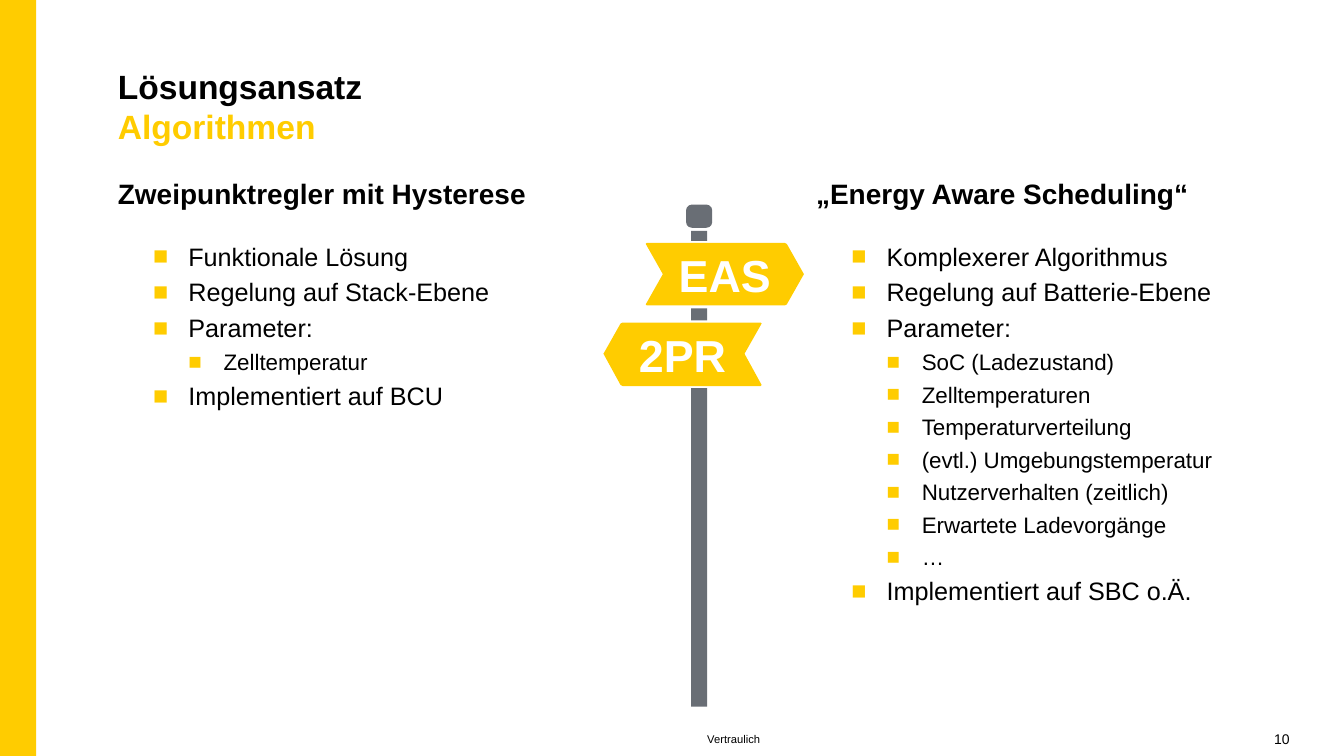
from dataclasses import dataclass

from lxml import etree
from pptx import Presentation
from pptx import util as u
from pptx.dml.color import RGBColor
from pptx.enum import shapes, text
from pptx.oxml import ns

PX = 9144
YELLOW, GREY, BLACK, WHITE = "FFCC00", "696E75", "000000", "FFFFFF"
LEVEL_INDENT = 35
LEVEL_SIZES = {1: 18, 2: 16}


@dataclass(frozen=True)
class Area:
    left: int
    top: int
    width: int
    height: int

    def emu(self) -> tuple:
        return tuple(u.Emu(n * PX) for n in (self.left, self.top, self.width, self.height))


@dataclass(frozen=True)
class Label:
    area: Area
    words: str
    size: int
    align: text.PP_ALIGN


@dataclass(frozen=True)
class Column:
    area: Area
    heading: str
    items: tuple


@dataclass(frozen=True)
class Sign:
    area: Area
    words: str
    points_right: bool


LABELS = (
    Label(Area(690, 721, 210, 24), "Vertraulich", 8, text.PP_ALIGN.LEFT),
    Label(Area(1186, 721, 106, 24), "10", 10, text.PP_ALIGN.RIGHT),
)
COLUMNS = (
    Column(Area(105, 169, 513, 532), "Zweipunktregler mit Hysterese", (
        (1, "Funktionale Lösung"),
        (1, "Regelung auf Stack-Ebene"),
        (1, "Parameter:"),
        (2, "Zelltemperatur"),
        (1, "Implementiert auf BCU"),
    )),
    Column(Area(798, 169, 494, 532), "„Energy Aware Scheduling“", (
        (1, "Komplexerer Algorithmus"),
        (1, "Regelung auf Batterie-Ebene"),
        (1, "Parameter:"),
        (2, "SoC (Ladezustand)"),
        (2, "Zelltemperaturen"),
        (2, "Temperaturverteilung"),
        (2, "(evtl.) Umgebungstemperatur"),
        (2, "Nutzerverhalten (zeitlich)"),
        (2, "Erwartete Ladevorgänge"),
        (2, "…"),
        (1, "Implementiert auf SBC o.Ä."),
    )),
)
SIGNS = (
    Sign(Area(641, 241, 157, 62), "EAS", True),
    Sign(Area(599, 320, 157, 63), "2PR", False),
)
POLE_PARTS = (Area(686, 229, 16, 10), Area(686, 306, 16, 12), Area(686, 385, 16, 316))


def color(value: str) -> RGBColor:
    return RGBColor.from_string(value)


def style(span, size: int, shade: str, bold: bool = False) -> None:
    span.font.name = "Arial"
    span.font.size = u.Pt(size)
    span.font.bold = bold
    span.font.color.rgb = color(shade)


def paint(shape, shade: str) -> None:
    shape.shadow.inherit = False
    shape.fill.solid()
    shape.fill.fore_color.rgb = color(shade)
    shape.line.fill.background()


def add_block(page, area: Area, shade: str, kind=shapes.MSO_SHAPE.RECTANGLE):
    block = page.shapes.add_shape(kind, *area.emu())
    paint(block, shade)
    return block


def add_box(page, area: Area):
    frame = page.shapes.add_textbox(*area.emu()).text_frame
    frame.word_wrap = True
    frame.margin_left = frame.margin_right = u.Emu(12 * PX)
    frame.margin_top = frame.margin_bottom = u.Emu(6 * PX)
    return frame


def add_title(page) -> None:
    frame = add_box(page, Area(105, 59, 1187, 87))
    frame.text = "Lösungsansatz\vAlgorithmen"
    for span, shade in zip(frame.paragraphs[0].runs, (BLACK, YELLOW)):
        style(span, 24, shade, True)


def add_label(page, label: Label) -> None:
    frame = add_box(page, label.area)
    frame.vertical_anchor = text.MSO_ANCHOR.MIDDLE
    frame.text = label.words
    para = frame.paragraphs[0]
    para.alignment = label.align
    style(para.runs[0], label.size, BLACK)


def add_bullet(para, level: int) -> None:
    para.level = level
    properties = para._p.get_or_add_pPr()
    properties.set("marL", str((level + 1) * LEVEL_INDENT * PX))
    properties.set("indent", str(-LEVEL_INDENT * PX))
    bullet_color = etree.SubElement(properties, ns.qn("a:buClr"))
    etree.SubElement(bullet_color, ns.qn("a:srgbClr"), val=YELLOW)
    etree.SubElement(properties, ns.qn("a:buFont"), typeface="Arial")
    etree.SubElement(properties, ns.qn("a:buChar"), char="■")


def add_column(page, column: Column) -> None:
    frame = add_box(page, column.area)
    frame.text = column.heading
    style(frame.paragraphs[0].runs[0], 20, BLACK, True)
    for index, (level, words) in enumerate(column.items):
        para = frame.add_paragraph()
        para.text = words
        add_bullet(para, level)
        para.space_before = u.Pt(4 if index else 22)
        style(para.runs[0], LEVEL_SIZES[level], BLACK)


def add_sign(page, sign: Sign) -> None:
    area = sign.area
    width, height, notch = area.width, area.height, 17
    outline = [
        (1, 0), (width - notch - 2, 0), (width - notch, 1),
        (width, height // 2),
        (width - notch, height - 1), (width - notch - 2, height), (1, height),
        (0, height - 1), (notch, height // 2), (0, 1),
    ]
    if not sign.points_right:
        outline = [(width - x, y) for x, y in outline]
    corners = [(area.left + x, area.top + y) for x, y in outline]
    builder = page.shapes.build_freeform(*corners[0], scale=PX)
    builder.add_line_segments(corners[1:], close=True)
    board = builder.convert_to_shape()
    paint(board, YELLOW)
    frame = board.text_frame
    frame.text = sign.words
    frame.vertical_anchor = text.MSO_ANCHOR.MIDDLE
    para = frame.paragraphs[0]
    para.alignment = text.PP_ALIGN.CENTER
    style(para.runs[0], 32, WHITE, True)


def main() -> None:
    deck = Presentation()
    deck.slide_width, deck.slide_height = u.Emu(1334 * PX), u.Emu(750 * PX)
    page = deck.slides.add_slide(deck.slide_layouts[6])
    add_block(page, Area(0, 0, 36, 750), YELLOW)
    add_title(page)
    for label in LABELS:
        add_label(page, label)
    for column in COLUMNS:
        add_column(page, column)
    cap = add_block(page, Area(681, 203, 26, 23), GREY, shapes.MSO_SHAPE.ROUNDED_RECTANGLE)
    cap.adjustments[0] = 0.25
    for part in POLE_PARTS:
        add_block(page, part, GREY)
    for sign in SIGNS:
        add_sign(page, sign)
    deck.save("out.pptx")


if __name__ == "__main__":
    main()
